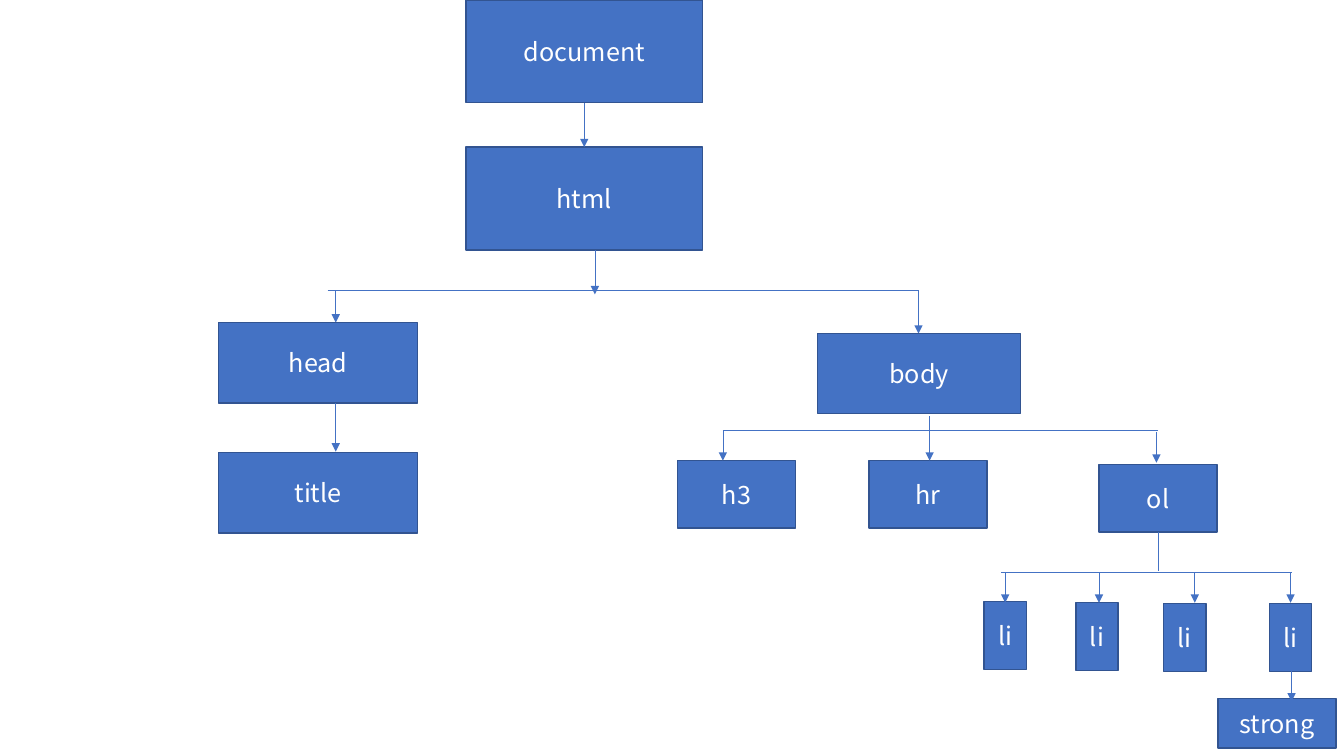
from dataclasses import dataclass

from lxml.etree import SubElement
from pptx import Presentation
from pptx.dml.color import RGBColor
from pptx.enum.shapes import MSO_CONNECTOR, MSO_SHAPE
from pptx.enum.text import MSO_ANCHOR, PP_ALIGN
from pptx.oxml.ns import qn
from pptx.util import Inches, Pt


@dataclass(frozen=True)
class Theme:
    fill: RGBColor = RGBColor(0x44, 0x72, 0xC4)
    border: RGBColor = RGBColor(0x32, 0x54, 0x91)
    text: RGBColor = RGBColor(0xFF, 0xFF, 0xFF)
    font: str = "Noto Sans CJK KR"
    text_size: float = 18
    border_width: float = 1
    link_width: float = 0.5


THEME = Theme()


@dataclass(frozen=True)
class Box:
    left: float
    top: float
    width: float
    height: float


def add_node(slide, tag, left, top, width, height):
    """Draw one labelled element of the tree."""
    node = slide.shapes.add_shape(
        MSO_SHAPE.RECTANGLE, Inches(left), Inches(top), Inches(width), Inches(height))
    node.shadow.inherit = False
    node.fill.solid()
    node.fill.fore_color.rgb = THEME.fill
    node.line.color.rgb = THEME.border
    node.line.width = Pt(THEME.border_width)
    label = node.text_frame
    label.word_wrap = True
    label.vertical_anchor = MSO_ANCHOR.MIDDLE
    paragraph = label.paragraphs[0]
    paragraph.alignment = PP_ALIGN.CENTER
    run = paragraph.add_run()
    run.text = tag
    run.font.size = Pt(THEME.text_size)
    run.font.color.rgb = THEME.text
    run.font.name = THEME.font
    east_asian = SubElement(run.font._element, qn("a:ea"))
    east_asian.set("typeface", THEME.font)


def add_link(slide, x1, y1, x2, y2, arrow=False):
    """Draw a thin straight line, with an arrowhead at its end if asked."""
    link = slide.shapes.add_connector(
        MSO_CONNECTOR.STRAIGHT, Inches(x1), Inches(y1), Inches(x2), Inches(y2))
    link.line.color.rgb = THEME.fill
    link.line.width = Pt(THEME.link_width)
    if arrow:
        SubElement(link.line._get_or_add_ln(), qn("a:tailEnd")).set("type", "triangle")
    SubElement(link._element.spPr, qn("a:effectLst"))


def add_drop(slide, x, top, length):
    """Draw an arrow straight down."""
    add_link(slide, x, top, x, top + length, arrow=True)


def draw_root(slide, box):
    """document > html, and the branch to head and body."""
    node_left, node_width, node_height, step = box.left + 2.45, 2.35, 1.02, 1.46
    for row, tag in enumerate(("document", "html")):
        add_node(slide, tag, node_left, box.top + row * step, node_width, node_height)
    add_drop(slide, node_left + node_width / 2, box.top + node_height, 0.44)
    add_drop(slide, node_left + 1.28, box.top + step + node_height, 0.44)

    # Branch line with its two arrows
    branch = box.top + 2.88
    right = box.left + box.width
    add_link(slide, box.left + 1.08, branch, right, branch)
    add_drop(slide, box.left + 1.16, branch, 0.32)
    add_drop(slide, right, branch, 0.43)


def draw_head(slide, box):
    """head > title."""
    node_height = 0.8
    for tag, top in (("head", box.top), ("title", box.top + box.height - node_height)):
        add_node(slide, tag, box.left, top, box.width, node_height)
    add_drop(slide, box.left + 1.16, box.top + node_height, 0.48)


def draw_body(slide, box):
    """body > h3, hr, ol."""
    add_node(slide, "body", box.left + 1.39, box.top, 2.01, 0.79)
    for tag, left, top in (("h3", 0, 1.26), ("hr", 1.9, 1.26), ("ol", 4.18, 1.3)):
        add_node(slide, tag, box.left + left, box.top + top, 1.17, 0.67)

    # Branch line with its three arrows
    branch = box.top + 0.96
    add_link(slide, box.left + 0.45, branch, box.left + 4.77, branch)
    add_drop(slide, box.left + 0.45, branch, 0.3)
    add_drop(slide, box.left + 2.5, box.top + 0.82, 0.44)
    add_drop(slide, box.left + 4.75, branch + 0.02, 0.3)


def draw_list(slide, box):
    """The four li elements under ol, and strong under the last one."""
    # Stem and branch line
    branch = box.top + 0.4
    stem = box.left + 1.73
    add_link(slide, stem, box.top, stem, branch - 0.02)
    add_link(slide, box.left + 0.17, branch, box.left + 3.05, branch)

    # Items: left edge, top and arrow position
    items = ((0, 0.69, 0.21), (0.91, 0.7, 1.14), (1.78, 0.71, 2.09), (2.83, 0.71, 3.04))
    for left, top, arrow in items:
        add_node(slide, "li", box.left + left, box.top + top, 0.42, 0.67)
        add_drop(slide, box.left + arrow, branch, 0.3)

    # Child of the last item
    right, bottom = box.left + box.width, box.top + box.height
    add_node(slide, "strong", right - 1.17, bottom - 0.49, 1.17, 0.49)
    add_drop(slide, box.left + 3.05, box.top + 1.38, 0.3)


def main():
    presentation = Presentation()
    presentation.slide_width = Inches(13.33)
    presentation.slide_height = Inches(7.5)
    slide = presentation.slides.add_slide(presentation.slide_layouts[6])

    draw_root(slide, Box(2.17, 0, 6.94, 3.31))
    draw_head(slide, Box(2.17, 3.2, 1.97, 2.09))
    draw_body(slide, Box(6.72, 3.31, 5.35, 1.97))
    draw_list(slide, Box(9.76, 5.28, 3.49, 2.14))

    presentation.save("out.pptx")


if __name__ == "__main__":
    main()
